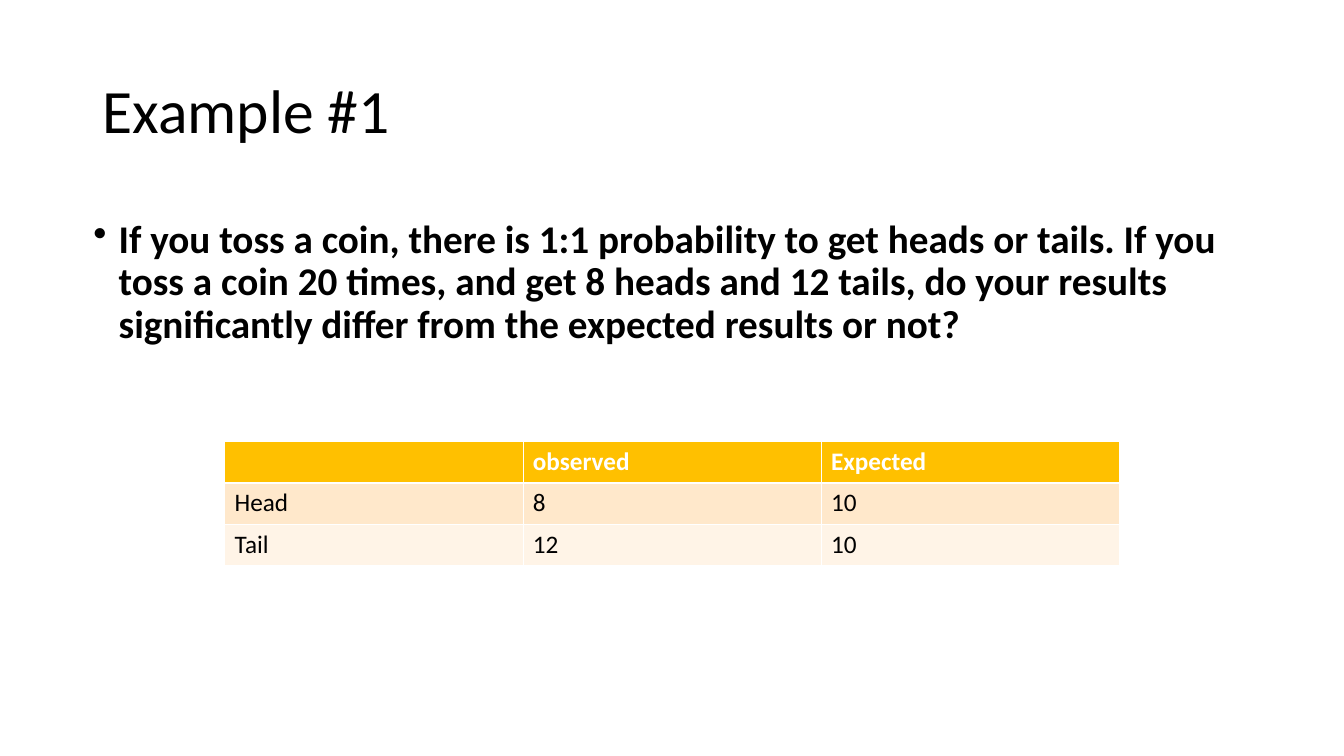
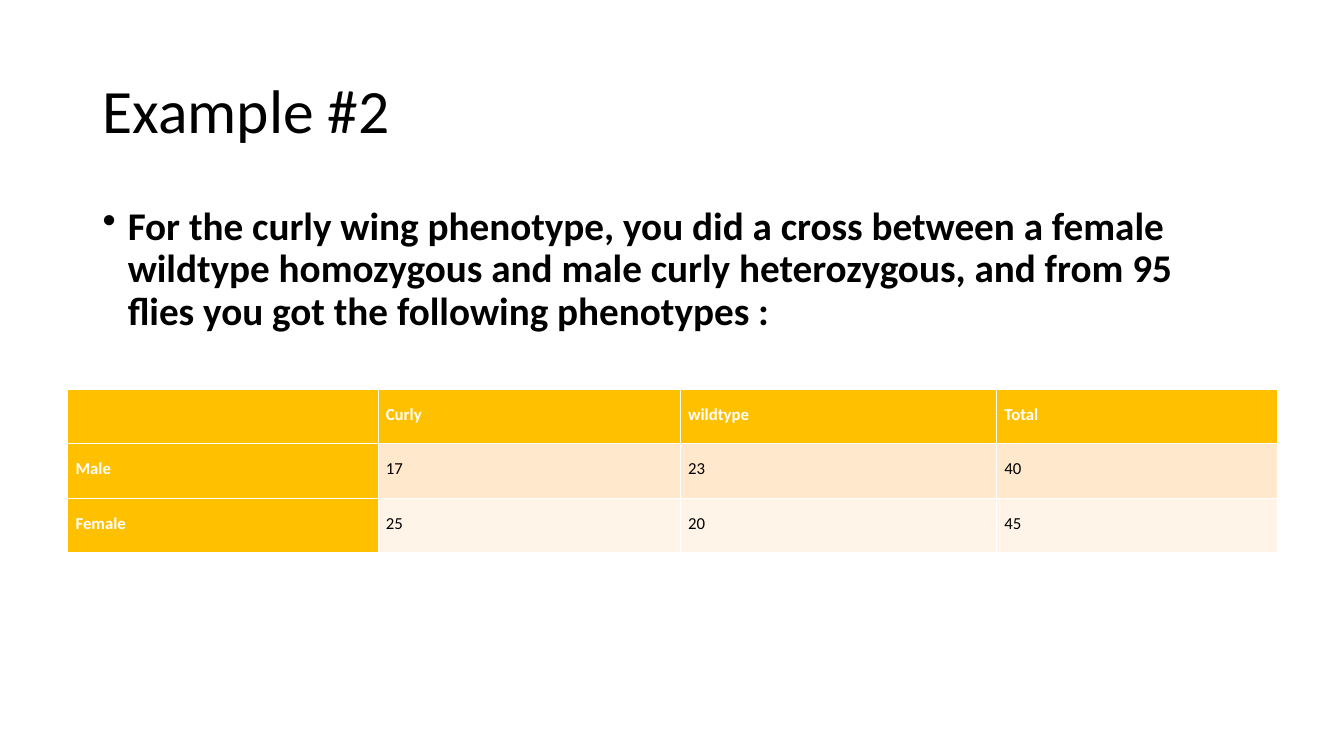
from dataclasses import dataclass

from lxml import etree
from pptx import Presentation
from pptx.dml.color import RGBColor
from pptx.enum.text import MSO_ANCHOR
from pptx.oxml.ns import qn
from pptx.util import Inches, Pt

TOP, MIDDLE = MSO_ANCHOR.TOP, MSO_ANCHOR.MIDDLE
BLANK_LAYOUT = 6


@dataclass(frozen=True)
class Theme:
    font: str = "Calibri"
    text: str = "000000"
    light: str = "FFFFFF"
    accent: str = "FFC000"
    bands: tuple = ("FFE8CB", "FFF4E7")
    title_size: int = 44
    body_size: int = 28
    thin_line: float = 0.45
    heavy_line: float = 1.47


THEME = Theme()


def add_bullet(paragraph, indent=0.25):
    """Give a paragraph a hanging round bullet."""
    properties = paragraph._p.get_or_add_pPr()
    properties.set("marL", str(Inches(indent)))
    properties.set("indent", str(Inches(-indent)))
    colour = etree.SubElement(properties, qn("a:buClr"))
    etree.SubElement(colour, qn("a:srgbClr"), val=THEME.text)
    etree.SubElement(properties, qn("a:buChar"), char="•")


def write_text(frame, text, size, colour=THEME.text, bold=False,
               line_spacing=1.0, bullet=False):
    """Write one formatted paragraph into a text frame."""
    paragraph = frame.paragraphs[0]
    if bullet:
        add_bullet(paragraph)
    paragraph.line_spacing = line_spacing
    font = paragraph.font
    font.name, font.size, font.bold = THEME.font, Pt(size), bold
    font.color.rgb = RGBColor.from_string(colour)
    if text:
        paragraph.add_run().text = text


def add_text_box(slide, text, left, top, width, height, anchor=TOP, **text_format):
    box = slide.shapes.add_textbox(Inches(left), Inches(top), Inches(width), Inches(height))
    frame = box.text_frame
    frame.word_wrap = True
    frame.vertical_anchor = anchor
    write_text(frame, text, line_spacing=0.9, **text_format)


def set_borders(cell, top, bottom):
    """Draw light cell borders; top and bottom are widths in points."""
    properties = cell._tc.get_or_add_tcPr()
    widths = {"a:lnL": THEME.thin_line, "a:lnR": THEME.thin_line,
              "a:lnT": top, "a:lnB": bottom}
    for position, (side, width) in enumerate(widths.items()):
        line = etree.Element(qn(side), w=str(Pt(width)))
        fill = etree.SubElement(line, qn("a:solidFill"))
        etree.SubElement(fill, qn("a:srgbClr"), val=THEME.light)
        properties.insert(position, line)


def add_data_table(slide, rows, left, top, column_widths, row_height, size,
                   line_spacing=1.0, side_margin=0.1, header_column=False):
    frame = slide.shapes.add_table(
        len(rows), len(column_widths), Inches(left), Inches(top),
        Inches(sum(column_widths)), Inches(row_height * len(rows)))
    table = frame.table
    table.first_row = table.horz_banding = False
    for column, width in zip(table.columns, column_widths):
        column.width = Inches(width)
    for row_index, values in enumerate(rows):
        table.rows[row_index].height = Inches(row_height)
        for column_index, value in enumerate(values):
            cell = table.cell(row_index, column_index)
            header = row_index == 0 or (header_column and column_index == 0)
            fill = THEME.accent if header else THEME.bands[(row_index - 1) % 2]
            cell.fill.solid()
            cell.fill.fore_color.rgb = RGBColor.from_string(fill)
            cell.margin_left = cell.margin_right = Inches(side_margin)
            # The rule under the header row is heavier than the others
            set_borders(cell,
                        top=THEME.heavy_line if row_index == 1 else THEME.thin_line,
                        bottom=THEME.heavy_line if row_index == 0 else THEME.thin_line)
            write_text(cell.text_frame, value, size, bold=header,
                       colour=THEME.light if header else THEME.text,
                       line_spacing=line_spacing)


def add_example_slide(presentation, title, question, body_left, body_top):
    """Add a slide with a title and a bulleted question."""
    slide = presentation.slides.add_slide(presentation.slide_layouts[BLANK_LAYOUT])
    add_text_box(slide, title, 0.92, 0.4, 11.5, 1.45, anchor=MIDDLE, size=THEME.title_size)
    add_text_box(slide, question, body_left, body_top, 11.5, 1.5,
                 size=THEME.body_size, bold=True, bullet=True)
    return slide


def main():
    presentation = Presentation()
    presentation.slide_width, presentation.slide_height = Inches(13.34), Inches(7.5)

    # Coin toss
    slide = add_example_slide(
        presentation, "Example #1",
        "If you toss a coin, there is 1:1 probability to get heads or tails. "
        "If you toss a coin 20 times, and get 8 heads and 12 tails, do your "
        "results significantly differ from the expected results or not?",
        body_left=0.83, body_top=2.13)
    add_data_table(
        slide,
        [("", "observed", "Expected"), ("Head", "8", "10"), ("Tail", "12", "10")],
        left=2.23, top=4.38, column_widths=[2.96] * 3, row_height=0.41, size=18)

    # Fly cross
    slide = add_example_slide(
        presentation, "Example #2",
        "For the curly wing phenotype, you did a cross between a female "
        "wildtype homozygous and male curly heterozygous, and from 95 flies "
        "you got the following phenotypes :",
        body_left=0.92, body_top=2)
    add_data_table(
        slide,
        [("", "Curly", "wildtype", "Total"),
         ("Male", "17", "23", "40"),
         ("Female", "25", "20", "45")],
        left=0.67, top=3.86, column_widths=[3.08, 3, 3.14, 2.79], row_height=0.54,
        size=12, line_spacing=1.5, side_margin=0.08, header_column=True)

    presentation.save("out.pptx")


if __name__ == "__main__":
    main()
